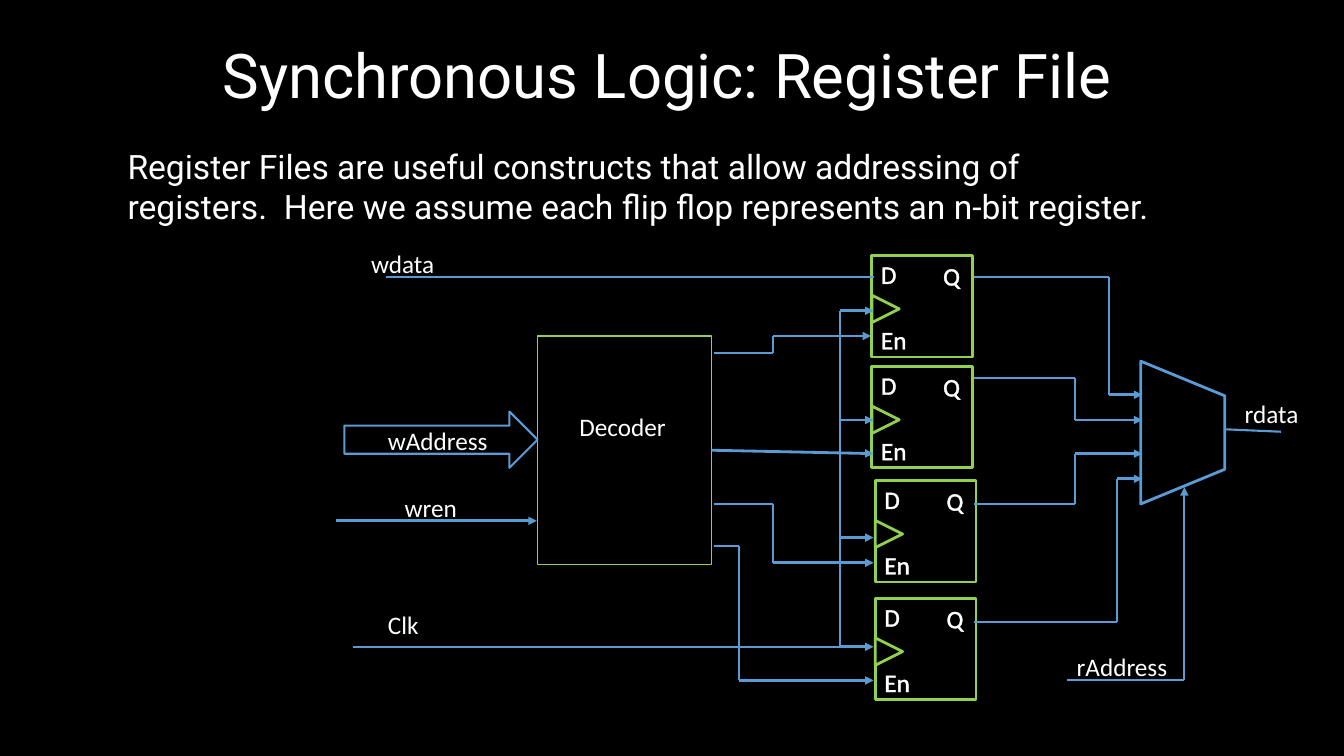
from itertools import pairwise

from lxml import etree
from pptx import Presentation
from pptx.dml.color import RGBColor
from pptx.enum.shapes import MSO_CONNECTOR, MSO_SHAPE
from pptx.enum.text import MSO_ANCHOR, MSO_AUTO_SIZE, PP_ALIGN
from pptx.oxml.ns import qn
from pptx.util import Inches, Pt

STRAIGHT = MSO_CONNECTOR.STRAIGHT
RECT, TRI = MSO_SHAPE.RECTANGLE, MSO_SHAPE.ISOSCELES_TRIANGLE
TRAP, ARROW = MSO_SHAPE.TRAPEZOID, MSO_SHAPE.RIGHT_ARROW
TOP, MIDDLE = MSO_ANCHOR.TOP, MSO_ANCHOR.MIDDLE
LEFT, CENTER = PP_ALIGN.LEFT, PP_ALIGN.CENTER
GROW = MSO_AUTO_SIZE.SHAPE_TO_FIT_TEXT

BLACK = RGBColor(0x00, 0x00, 0x00)
WHITE = RGBColor(0xFF, 0xFF, 0xFF)
BLUE = RGBColor(0x5B, 0x9B, 0xD5)
GREEN = RGBColor(0x92, 0xD0, 0x50)

# Grid of 160 columns by 90 rows, twelve to the inch
THIN, THICK = 1.5, 2


def grid(n):
    return Inches(n / 12)


def text(slide, box, words, size=18, font="Calibri", align=LEFT,
         anchor=TOP, wrap=True, edge=False):
    frame = slide.shapes.add_textbox(*map(grid, box)).text_frame
    frame.word_wrap = wrap
    frame.auto_size = GROW
    frame.vertical_anchor = anchor
    para = frame.paragraphs[0]
    para.alignment = align
    run = para.add_run()
    run.text = words
    run.font.size = Pt(size)
    run.font.name = font
    run.font.color.rgb = WHITE
    if edge:
        # Thin white outline around the letters
        line = etree.Element(qn("a:ln"), w=str(Pt(0.5)))
        fill = etree.SubElement(line, qn("a:solidFill"))
        etree.SubElement(fill, qn("a:srgbClr"), val=str(WHITE))
        run.font._element.insert(0, line)


def block(slide, kind, box, color, width, fill=None, turn=0):
    shape = slide.shapes.add_shape(kind, *map(grid, box))
    shape.shadow.inherit = False
    shape.rotation = turn
    if fill is None:
        shape.fill.background()
    else:
        shape.fill.solid()
        shape.fill.fore_color.rgb = fill
    shape.line.color.rgb = color
    shape.line.width = Pt(width)
    return shape


def wire(slide, start, end, width=THIN, head=False):
    line = slide.shapes.add_connector(
        STRAIGHT, *map(grid, (*start, *end)))
    line.line.color.rgb = BLUE
    line.line.width = Pt(width)
    props = line._element.spPr
    if head:
        etree.SubElement(props.find(qn("a:ln")), qn("a:tailEnd"),
                         type="triangle")
    etree.SubElement(props, qn("a:effectLst"))
    return line


def route(slide, points, head=0):
    """Draw a bent wire; head is the width of a last leg with an arrow."""
    legs = list(pairwise(points))
    for start, end in legs[:-1]:
        wire(slide, start, end)
    wire(slide, *legs[-1], head or THIN, bool(head))


def header(slide, x, y, w):
    text(slide, (x + 5.3, y, w - 5.3, 10), "Synchronous Logic: Register File",
         44, "Roboto", CENTER)
    text(slide, (x, y + 12.9, w, 10.9),
         "Register Files are useful constructs that allow addressing of "
         "registers.  Here we assume each flip flop represents an "
         "n-bit register.", 24, "Roboto", anchor=MIDDLE)


def flop(slide, x, y):
    block(slide, RECT, (x, y, 12, 12.1), GREEN, THICK, BLACK)
    text(slide, (x - 0.1, y - 0.2, 4.3, 4), "D", edge=True)
    text(slide, (x + 7.3, y, 4.3, 4), "Q", edge=True)
    block(slide, TRI, (x, y + 4.75, 3.25, 3.25), GREEN, THICK, BLACK, 90)
    text(slide, (x - 0.1, y + 7.6, 5.5, 4.8), "En", wrap=False, edge=True)


def decoder(slide, x, y, w, h):
    shape = block(slide, RECT, (x, y, w, h), GREEN, 1)
    text(slide, (x + 3.8, y + 8.4, w - 4.5, 3), "Decoder")
    # Write address bus, ending at the left side
    block(slide, ARROW, (x - 23, y + 9, 23, 6.7), BLUE, THIN)
    return shape


def mux(slide, x, y, w, h):
    # Turned a quarter, so the unturned frame swaps width and height
    frame = (x + (w - h) / 2, y + (h - w) / 2, h, w)
    shape = block(slide, TRAP, frame, BLUE, THICK, turn=90)
    shape.adjustments[0] = 0.412


def inputs(slide, dec):
    route(slide, [(46, 33), (104, 33)])                # wdata
    route(slide, [(40, 62), (63.9, 62)], THICK)        # wren
    route(slide, [(42, 77), (100, 77)])                # clock
    route(slide, [(100, 77), (100, 37), (104, 37)], THICK)
    for row in (50, 64, 77):
        route(slide, [(100, row), (104, row)], THICK)
    # Decoder outputs to the enables
    for bend, top, low, end in ((92, 42, 40, 103.7), (92, 60, 67, 104),
                                (88, 65, 81, 104)):
        route(slide, [(85, top), (bend, top), (bend, low), (end, low)], THICK)
    wire(slide, (84.7, 53.6), (104, 54), THICK, True).begin_connect(dec, 3)


def outputs(slide):
    for bend, top, low in ((132, 33, 47), (128, 45, 50),
                           (128, 60, 54), (133, 74, 57)):
        route(slide, [(116, top), (bend, top), (bend, low), (136, low)], THICK)
    route(slide, [(127, 81), (141, 81), (141, 58)], THIN)
    route(slide, [(145.7, 51.1), (152.5, 51.4)])


def labels(slide):
    for words, x, y, w in (("wdata", 43, 29, 10), ("wAddress", 45, 50, 14.4),
                           ("wren", 47, 58, 8.8), ("Clk", 45, 72, 6.1),
                           ("rdata", 147, 46.8, 8.9),
                           ("rAddress", 127, 77, 13.3)):
        text(slide, (x, y, w, 4.8), words, wrap=False)


def main():
    deck = Presentation()
    deck.slide_width, deck.slide_height = grid(160), grid(90)
    slide = deck.slides.add_slide(deck.slide_layouts[6])
    back = slide.background.fill
    back.solid()
    back.fore_color.rgb = BLACK

    header(slide, 14, 3.8, 125.7)
    mux(slide, 135.8, 43, 10, 17)
    for x, y in ((103.8, 30.4), (103.8, 43.6), (104.2, 57.2), (104.2, 71.2)):
        flop(slide, x, y)
    dec = decoder(slide, 64, 40, 20.7, 27.2)
    inputs(slide, dec)
    outputs(slide)
    labels(slide)
    deck.save("out.pptx")


if __name__ == "__main__":
    main()
